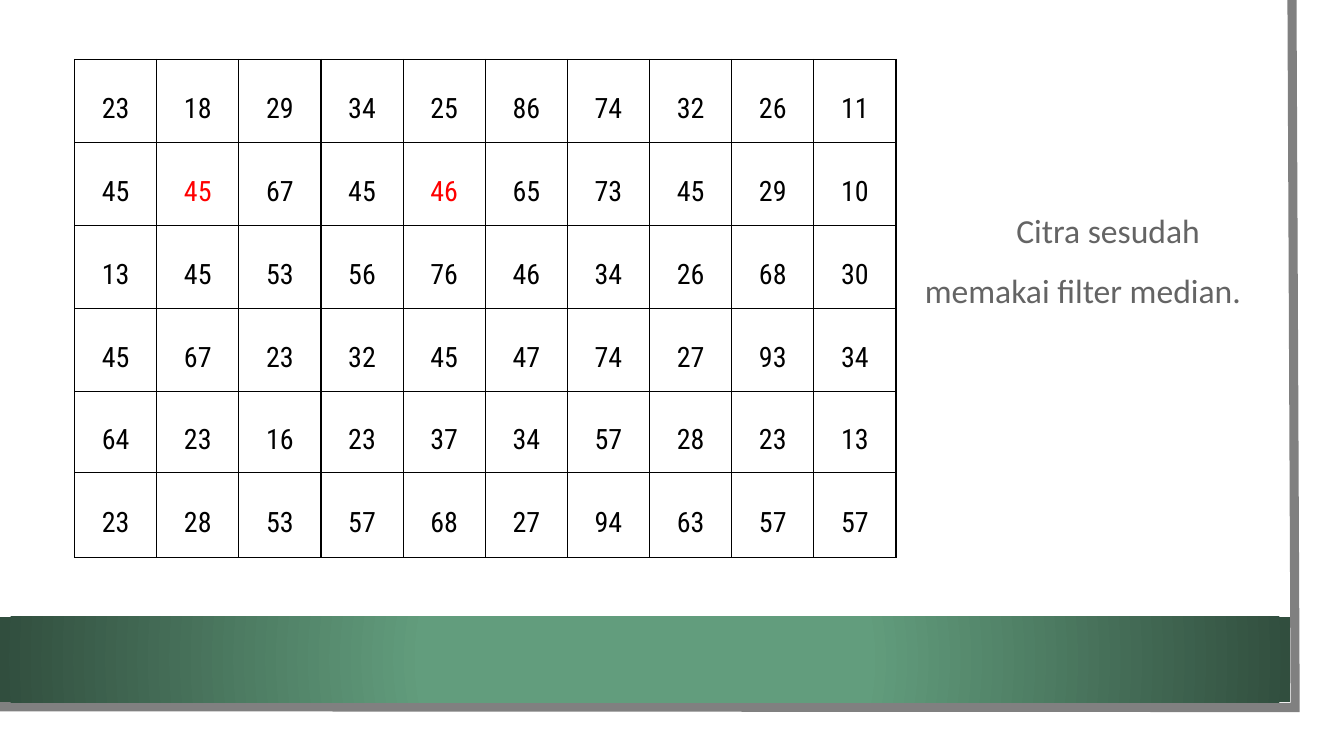
from lxml import etree
from pptx import Presentation, util as u
from pptx.dml.color import RGBColor
from pptx.enum import shapes, text
from pptx.oxml.ns import qn

BLACK = RGBColor(0x00, 0x00, 0x00)
RED = RGBColor(0xFF, 0x00, 0x00)
WHITE = RGBColor(0xFF, 0xFF, 0xFF)
EDGE_GREY = RGBColor(0x80, 0x80, 0x80)
TEXT_GREY = RGBColor(0x64, 0x64, 0x64)
LIGHT_GREEN = RGBColor(0x62, 0x9D, 0x7D)
DARK_GREEN = RGBColor(0x31, 0x4E, 0x3E)

PIXELS = [
    [23, 18, 29, 34, 25, 86, 74, 32, 26, 11],
    [45, 45, 67, 45, 46, 65, 73, 45, 29, 10],
    [13, 45, 53, 56, 76, 46, 34, 26, 68, 30],
    [45, 67, 23, 32, 45, 47, 74, 27, 93, 34],
    [64, 23, 16, 23, 37, 34, 57, 28, 23, 13],
    [23, 28, 53, 57, 68, 27, 94, 63, 57, 57],
]
FILTERED = {(1, 1), (1, 4)}
ROW_HEIGHTS = [2.09, 2.09, 2.09, 2.09, 2.05, 2.14]

PARAGRAPH_FORMAT = {
    "alignment": text.PP_ALIGN.CENTER,
    "line_spacing": 1.5,
    "space_after": u.Pt(10),
}
CELL_FORMAT = {
    "vertical_anchor": text.MSO_ANCHOR.MIDDLE,
    "margin_left": u.Cm(0.18),
    "margin_right": u.Cm(0.18),
    "margin_top": 0,
    "margin_bottom": 0,
}


def set_attributes(target, values):
    """Set every attribute in a dict of format values."""
    for name, value in values.items():
        setattr(target, name, value)


def add_color(parent, color):
    """Append a solid RGB colour element."""
    etree.SubElement(parent, qn("a:srgbClr"), val=str(color))


def write_paragraph(frame, words, font_name, size, color):
    """Write one centred, widely spaced paragraph and return it."""
    paragraph = frame.paragraphs[0]
    set_attributes(paragraph, PARAGRAPH_FORMAT)
    run = paragraph.add_run()
    run.text = words
    set_attributes(run.font, {"name": font_name, "size": u.Pt(size)})
    run.font.color.rgb = color
    return paragraph


def add_rectangle(slide, left, top, width, height):
    """Add a rectangle without outline or shadow."""
    shape = slide.shapes.add_shape(
        shapes.MSO_SHAPE.RECTANGLE, *map(u.Cm, (left, top, width, height)))
    shape.shadow.inherit = False
    shape.line.fill.background()
    return shape


def add_page(slide, left, top, width, height):
    """Draw the white page with its grey right and bottom edge."""
    sheet = add_rectangle(slide, left, top, width, height)
    sheet.fill.solid()
    sheet.fill.fore_color.rgb = WHITE
    points = [(left + x, top + y) for x, y in
              [(width - 0.71, 0), (width - 0.63, height - 0.64), (-0.08, height - 0.66)]]
    start, *rest = [(u.Cm(x), u.Cm(y)) for x, y in points]
    builder = slide.shapes.build_freeform(*start)
    builder.add_line_segments(rest, close=False)
    edge = builder.convert_to_shape()
    edge.shadow.inherit = False
    edge.fill.background()
    edge.line.color.rgb = EDGE_GREY
    edge.line.width = u.Pt(6.5)
    etree.SubElement(edge.line._get_or_add_ln(), qn("a:miter"), lim="800000")


def add_band(slide, left, top, width, height):
    """Draw the green band with a radial gradient."""
    band = add_rectangle(slide, left, top, width, height)
    gradient = etree.Element(qn("a:gradFill"), rotWithShape="1")
    stops = etree.SubElement(gradient, qn("a:gsLst"))
    for percent, color in ((34, LIGHT_GREEN), (100, DARK_GREEN)):
        add_color(etree.SubElement(stops, qn("a:gs"), pos=str(percent * 1000)), color)
    circle = etree.SubElement(gradient, qn("a:path"), {"path": "circle"})
    etree.SubElement(circle, qn("a:fillToRect"), dict.fromkeys("ltrb", "50000"))
    band._element.spPr.find(qn("a:prstGeom")).addnext(gradient)


def add_borders(cell):
    """Give a cell thin black lines on all four sides."""
    properties = cell._tc.get_or_add_tcPr()
    for index, side in enumerate(("lnL", "lnR", "lnT", "lnB")):
        line = etree.Element(qn(f"a:{side}"), w=str(u.Pt(1)))
        add_color(etree.SubElement(line, qn("a:solidFill")), BLACK)
        properties.insert(index, line)


def add_pixel_table(slide, left, top, width):
    """Draw the grid of pixel values with the filtered ones in red."""
    columns = len(PIXELS[0])
    table = slide.shapes.add_table(
        len(PIXELS), columns, u.Cm(left), u.Cm(top),
        u.Cm(width), u.Cm(sum(ROW_HEIGHTS))).table
    set_attributes(table, {"first_row": False, "horz_banding": False})
    for column in table.columns:
        column.width = u.Cm(width / columns)
    for row_index, values in enumerate(PIXELS):
        table.rows[row_index].height = u.Cm(ROW_HEIGHTS[row_index])
        for column_index, value in enumerate(values):
            cell = table.cell(row_index, column_index)
            set_attributes(cell, CELL_FORMAT)
            cell.fill.background()
            add_borders(cell)
            color = RED if (row_index, column_index) in FILTERED else BLACK
            write_paragraph(cell.text_frame, str(value), "Roboto Condensed", 20, color)


def add_caption(slide, left, top, width, height):
    """Write the caption beside the table with a first-line indent."""
    frame = slide.shapes.add_textbox(
        *map(u.Cm, (left, top, width, height))).text_frame
    frame.word_wrap = True
    paragraph = write_paragraph(
        frame, "Citra sesudah memakai filter median.", "Calibri", 24, TEXT_GREY)
    paragraph._p.get_or_add_pPr().set("indent", str(u.Cm(1.27)))


def main():
    """Build the slide and save it."""
    presentation = Presentation()
    set_attributes(presentation, {"slide_width": u.Cm(33.87), "slide_height": u.Cm(19.05)})
    slide = presentation.slides.add_slide(presentation.slide_layouts[6])
    add_page(slide, 0, 0, 33.27, 18.47)
    add_band(slide, 0, 15.54, 32.51, 2.16)
    add_pixel_table(slide, 1.88, 1.5, 20.7)
    add_caption(slide, 22.58, 4.65, 9.42, 4.88)
    presentation.save("out.pptx")


if __name__ == "__main__":
    main()
